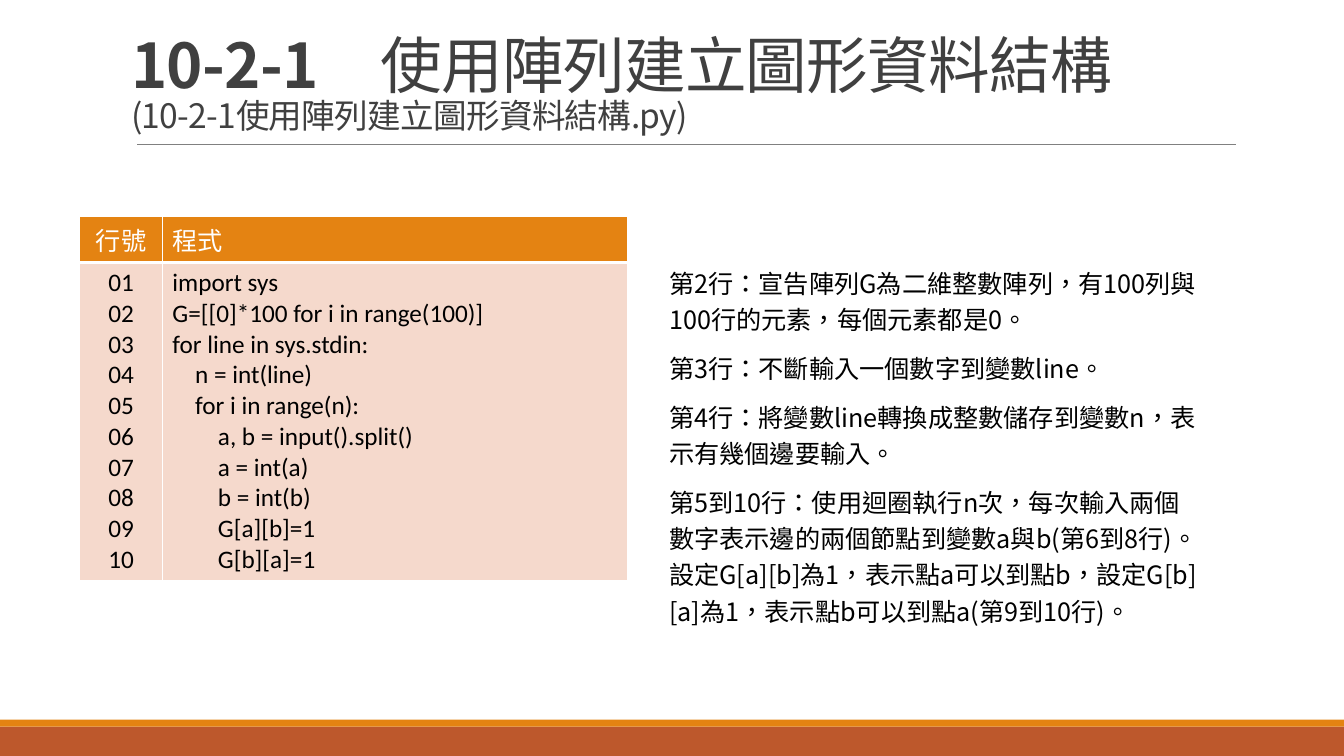
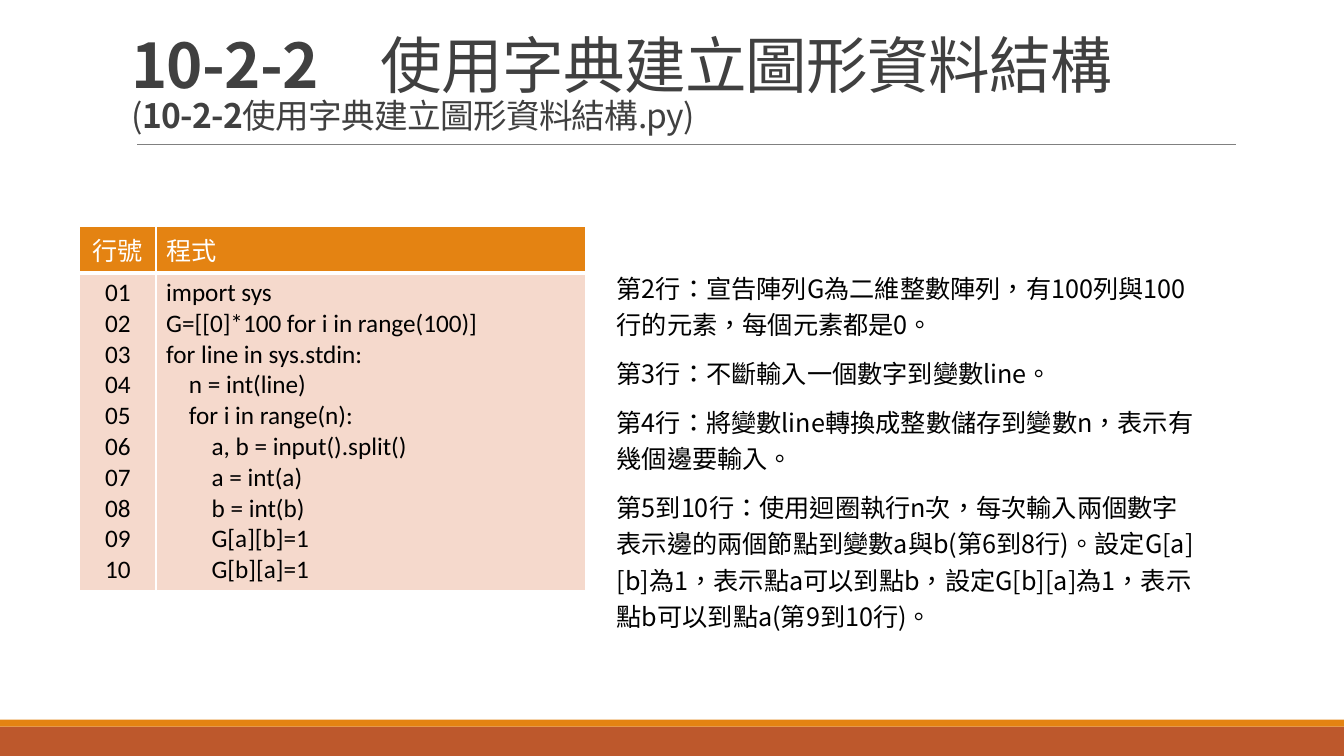
"""Build two slides that explain code for graph data structures."""
import lxml.etree
import pptx
import pptx.dml.color
import pptx.enum.shapes
import pptx.enum.text
import pptx.oxml.ns
import pptx.util

Pt = pptx.util.Pt
RGB = pptx.dml.color.RGBColor
qn = pptx.oxml.ns.qn
ALIGN = pptx.enum.text.PP_ALIGN
ANCHOR = pptx.enum.text.MSO_ANCHOR
AUTO_SIZE = pptx.enum.text.MSO_AUTO_SIZE

ORANGE = RGB(0xE4, 0x83, 0x12)
RUST = RGB(0xBD, 0x58, 0x2C)
PEACH = RGB(0xF5, 0xD9, 0xCC)
WHITE = RGB(0xFF, 0xFF, 0xFF)
BLACK = RGB(0, 0, 0)
CHARCOAL = RGB(0x40, 0x40, 0x40)
GRAY = RGB(0x80, 0x80, 0x80)
CODE_FONT = "Calibri"
TEXT_FONT = "Noto Sans CJK SC"
SLIDE_WIDTH, SLIDE_HEIGHT = 960, 540
BANDS = [(519, 21, RUST), (514, 5, ORANGE)]
HEADER_HEIGHT, CODE_HEIGHT = 32, 226

HEADINGS = ["行號", "程式"]
CODE = [
    "import sys",
    "G=[[0]*100 for i in range(100)]",
    "for line in sys.stdin:",
    "    n = int(line)",
    "    for i in range(n):",
    "        a, b = input().split()",
    "        a = int(a)",
    "        b = int(b)",
    "        G[a][b]=1",
    "        G[b][a]=1",
]
LINE_NUMBERS = [f"{number:02}" for number in range(1, len(CODE) + 1)]
EXPLANATIONS = [
    "第2行：宣告陣列G為二維整數陣列，有100列與100行的元素，每個元素都是0。",
    "第3行：不斷輸入一個數字到變數line。",
    "第4行：將變數line轉換成整數儲存到變數n，表示有幾個邊要輸入。",
    "第5到10行：使用迴圈執行n次，每次輸入兩個數字表示邊的兩個節點到變數a與b(第6到8行)。"
    "設定G[a][b]為1，表示點a可以到點b，設定G[b][a]為1，表示點b可以到點a(第9到10行)。",
]
SECTIONS = [
    {
        "number": "10-2-1", "topic": "使用陣列建立圖形資料結構", "bold_file_number": False,
        "table_at": (57, 154.3), "columns": (59, 332),
        "explanation_box": (470.9, 183.6, 395.3, 270),
    },
    {
        "number": "10-2-2", "topic": "使用字典建立圖形資料結構", "bold_file_number": True,
        "table_at": (57, 161.5), "columns": (54.5, 306.8),
        "explanation_box": (433.4, 187.2, 430, 270),
    },
]


def write(paragraph, text, size=18, font=TEXT_FONT, color=BLACK, bold=False, spacing=None):
    """Add one formatted run to a paragraph."""
    run = paragraph.add_run()
    run.text = text
    run.font.size = Pt(size)
    run.font.name = font
    run.font.bold = bold
    run.font.color.rgb = color
    properties = run.font._element
    properties.set("lang", "zh-TW")
    if spacing is not None:
        properties.set("spc", str(int(spacing * 100)))
    east_asian = lxml.etree.SubElement(properties, qn("a:ea"))
    east_asian.set("typeface", TEXT_FONT)


def paragraphs(frame, count):
    """Return the requested number of paragraphs of an empty text frame."""
    return [frame.paragraphs[0]] + [frame.add_paragraph() for _ in range(count - 1)]


def add_decoration(layout, slide):
    """Put the bottom bands and the title rule on the layout."""
    for top, height, color in BANDS:
        band = slide.shapes.add_shape(
            pptx.enum.shapes.MSO_SHAPE.RECTANGLE, 0, Pt(top), Pt(SLIDE_WIDTH), Pt(height))
        band.shadow.inherit = False
        band.fill.solid()
        band.fill.fore_color.rgb = color
        band.line.fill.background()
        layout.shapes.element.append(band.element)
    rule = slide.shapes.add_connector(
        pptx.enum.shapes.MSO_CONNECTOR.STRAIGHT, Pt(98), Pt(103), Pt(883), Pt(103))
    rule.line.color.rgb = GRAY
    rule.line.width = Pt(0.5)
    lxml.etree.SubElement(rule.element.spPr, qn("a:effectLst"))
    layout.shapes.element.append(rule.element)


def add_title(slide, number, topic, bold_file_number):
    """Fill the title with the section heading and its file name."""
    title = slide.shapes.title
    title.left, title.top, title.width, title.height = Pt(86.4), Pt(22.3), Pt(792), Pt(77.8)
    frame = title.text_frame
    frame.auto_size = AUTO_SIZE.NONE
    frame.vertical_anchor = ANCHOR.BOTTOM
    heading = frame.paragraphs[0]
    heading.alignment = ALIGN.LEFT
    heading.line_spacing = 0.85
    style = {"color": CHARCOAL, "spacing": -0.5}
    write(heading, number + "\u3000".replace("\u3000", "　"), size=44, bold=True, **style)
    write(heading, topic, size=44, **style)
    heading.add_line_break()
    write(heading, "(", size=24, **style)
    write(heading, number, size=24, bold=bold_file_number, **style)
    write(heading, topic + ".py)", size=24, **style)


def fill_cell(cell, lines, fill, color, alignment, bottom):
    """Format one table cell and write its lines."""
    properties = cell._tc.get_or_add_tcPr()
    for side, width in (("L", 1), ("R", 1), ("T", 1), ("B", bottom)):
        border = lxml.etree.SubElement(properties, qn(f"a:ln{side}"), w=str(Pt(width)))
        paint = lxml.etree.SubElement(border, qn("a:solidFill"))
        lxml.etree.SubElement(paint, qn("a:srgbClr"), val=str(WHITE))
    cell.fill.solid()
    cell.fill.fore_color.rgb = fill
    for paragraph, line in zip(paragraphs(cell.text_frame, len(lines)), lines):
        paragraph.alignment = alignment
        write(paragraph, line, font=CODE_FONT, color=color)


def add_code_table(slide, position, columns):
    """Add the numbered code listing."""
    left, top = position
    listing = slide.shapes.add_table(
        2, 2, Pt(left), Pt(top), Pt(sum(columns)), Pt(HEADER_HEIGHT + CODE_HEIGHT)).table
    listing.rows[0].height, listing.rows[1].height = Pt(HEADER_HEIGHT), Pt(CODE_HEIGHT)
    bodies = [LINE_NUMBERS, CODE]
    alignments = [ALIGN.CENTER, ALIGN.LEFT]
    for index, width in enumerate(columns):
        listing.columns[index].width = Pt(width)
        fill_cell(listing.cell(0, index), [HEADINGS[index]], ORANGE, WHITE, alignments[index], 3)
        fill_cell(listing.cell(1, index), bodies[index], PEACH, BLACK, alignments[index], 1)


def add_explanations(slide, box):
    """Add the line-by-line explanations."""
    frame = slide.shapes.add_textbox(*map(Pt, box)).text_frame
    frame.word_wrap = True
    frame.auto_size = AUTO_SIZE.SHAPE_TO_FIT_TEXT
    for index, paragraph in enumerate(paragraphs(frame, len(EXPLANATIONS))):
        paragraph.line_spacing = 1.2
        paragraph.space_before = Pt(6 if index else 0)
        paragraph.space_after = Pt(3)
        write(paragraph, EXPLANATIONS[index])


def main():
    """Build and save the presentation."""
    deck = pptx.Presentation()
    deck.slide_width, deck.slide_height = Pt(SLIDE_WIDTH), Pt(SLIDE_HEIGHT)
    layout = deck.slide_layouts[5]
    for index, section in enumerate(SECTIONS):
        slide = deck.slides.add_slide(layout)
        if index == 0:
            add_decoration(layout, slide)
        add_title(slide, section["number"], section["topic"], section["bold_file_number"])
        add_code_table(slide, section["table_at"], section["columns"])
        add_explanations(slide, section["explanation_box"])
    deck.save("out.pptx")


if __name__ == "__main__":
    main()
